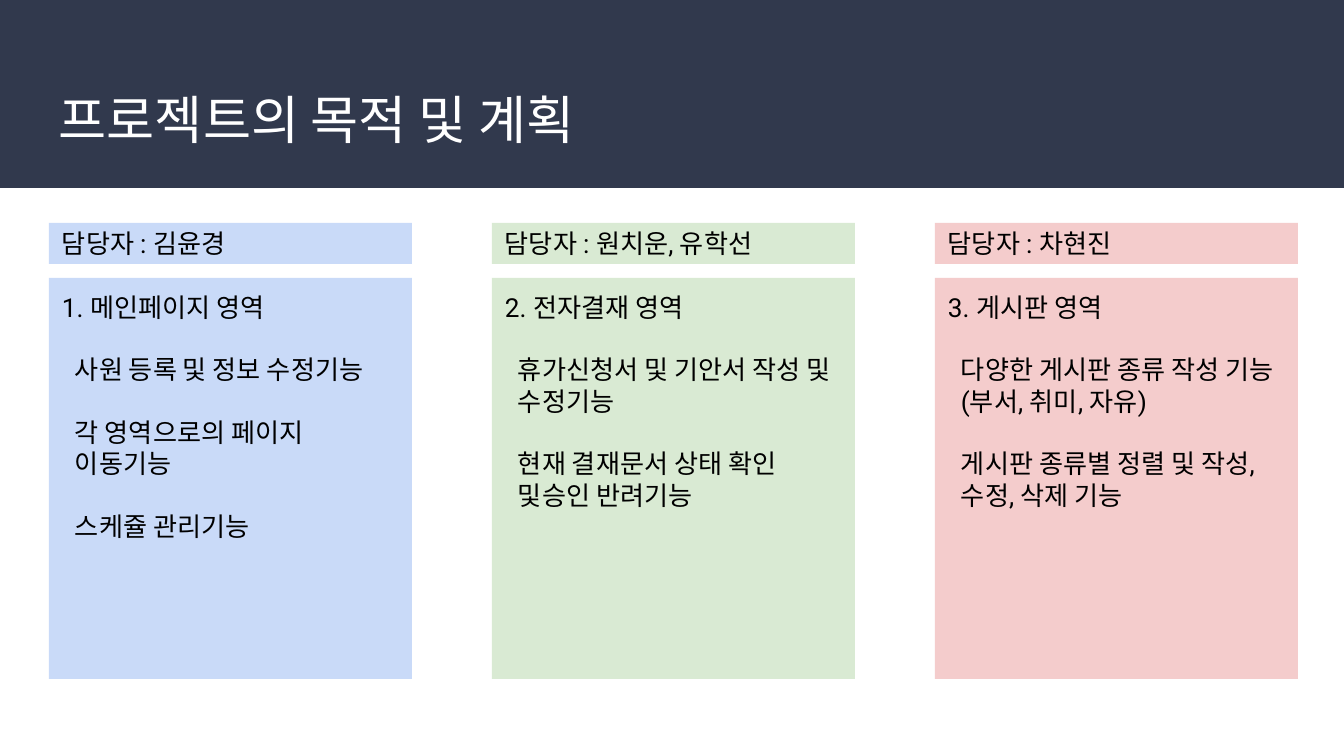
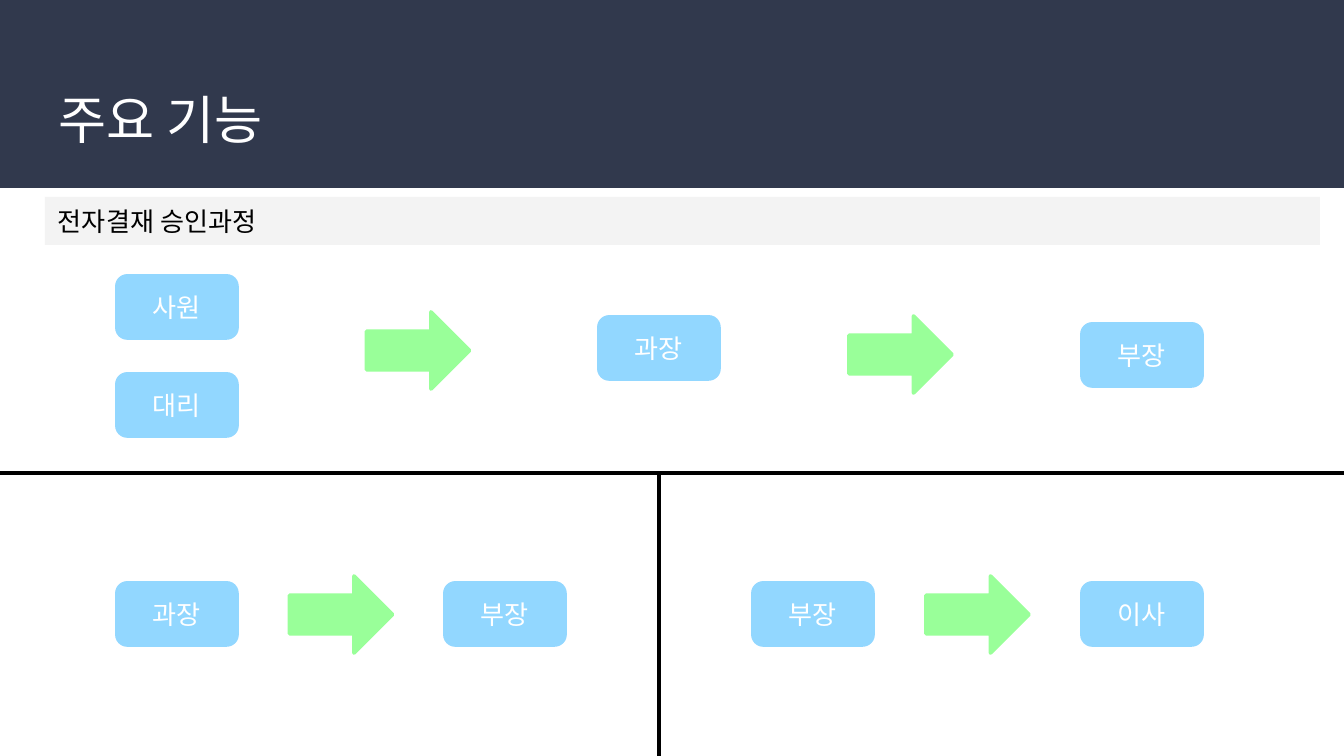
from lxml import etree
from pptx import Presentation
from pptx import util as u
from pptx.dml.color import RGBColor
from pptx.enum import shapes, text
from pptx.oxml.ns import qn

NAVY = RGBColor(0x31, 0x39, 0x4D)
WHITE = RGBColor(0xFF, 0xFF, 0xFF)
BLACK = RGBColor(0, 0, 0)
BLUE = RGBColor(0xC9, 0xDA, 0xF8)
GREEN = RGBColor(0xD9, 0xEA, 0xD3)
PINK = RGBColor(0xF4, 0xCC, 0xCC)
GREY = RGBColor(0xF3, 0xF3, 0xF3)
SKY = RGBColor(0x92, 0xD7, 0xFF)
LIME = RGBColor(0x99, 0xFF, 0x99)

WIDTH, HEIGHT = 1344, 756
SCALE = 914400 / 134.4
INSET = 13
LINE_GAP = 16.8
STEP_W, STEP_H = 120, 62
ARROW_W, ARROW_H = 103, 77


def px(length):
    """Turn pixels into EMU."""
    return u.Emu(round(length * SCALE))


class Builder:
    """Holds the deck, its style and the current page."""

    def __init__(self):
        """Start a deck of the right size."""
        self.deck = Presentation()
        self.deck.slide_width, self.deck.slide_height = px(WIDTH), px(HEIGHT)
        self.page = None

    def new_page(self, title):
        """Add a page with the title band."""
        self.page = self.deck.slides.add_slide(self.deck.slide_layouts[6])
        self.shape(shapes.MSO_SHAPE.RECTANGLE, 0, 0, WIDTH, 188, NAVY)
        box = self.page.shapes.add_textbox(px(46), px(74), px(1252), px(91))
        self.set_text(box, [title], "Noto Serif", 28, WHITE)

    def shape(self, kind, left, top, width, height, fill, outlined=False):
        """Add a flat preset shape, outlined in its own colour if asked."""
        shape = self.page.shapes.add_shape(kind, px(left), px(top), px(width), px(height))
        shape.shadow.inherit = False
        shape.fill.solid()
        shape.fill.fore_color.rgb = fill
        if outlined:
            shape.line.color.rgb = fill
            shape.line.width = u.Pt(2)
        else:
            shape.line.fill.background()
        return shape

    def set_text(self, box, lines, font="Roboto", size=14, color=BLACK,
                 anchor=text.MSO_ANCHOR.TOP, align=text.PP_ALIGN.LEFT, inset=INSET):
        """Fill in paragraphs; those after the first are indented and spaced."""
        frame = box.text_frame
        frame.word_wrap = True
        frame.vertical_anchor = anchor
        frame.margin_left = frame.margin_right = px(INSET)
        frame.margin_top = frame.margin_bottom = px(inset)
        for index, line in enumerate(lines):
            para = frame.add_paragraph() if index else frame.paragraphs[0]
            para.text = line
            para.alignment = align
            para.font.name, para.font.size = font, u.Pt(size)
            para.font.color.rgb = color
            if index:
                para.space_before = u.Pt(LINE_GAP)
                para._p.get_or_add_pPr().set("marL", str(px(INSET)))

    def bar(self, left, top, width, height, fill, label):
        """Add a one-line label on a coloured bar."""
        box = self.shape(shapes.MSO_SHAPE.RECTANGLE, left, top, width, height, fill)
        self.set_text(box, [label], anchor=text.MSO_ANCHOR.MIDDLE)

    def panel(self, left, top, width, height, fill, lines):
        """Add a coloured panel with a heading and its points."""
        box = self.shape(shapes.MSO_SHAPE.RECTANGLE, left, top, width, height, fill)
        self.set_text(box, lines)

    def step(self, left, top, label):
        """Add a rounded box for one approver."""
        box = self.shape(shapes.MSO_SHAPE.ROUNDED_RECTANGLE, left, top,
                         STEP_W, STEP_H, SKY, outlined=True)
        self.set_text(box, [label], "Arial", 14, WHITE, text.MSO_ANCHOR.MIDDLE,
                      text.PP_ALIGN.CENTER, inset=7)

    def arrow(self, before, after, top):
        """Add an arrow midway between the steps at two left edges."""
        left = (before + STEP_W + after - ARROW_W) / 2
        self.shape(shapes.MSO_SHAPE.RIGHT_ARROW, left, top,
                   ARROW_W, ARROW_H, LIME, outlined=True)

    def divider(self, x1, y1, x2, y2):
        """Add a straight black line."""
        line = self.page.shapes.add_connector(
            shapes.MSO_CONNECTOR.STRAIGHT, px(x1), px(y1), px(x2), px(y2))
        line.line.color.rgb = BLACK
        line.line.width = u.Pt(2)
        etree.SubElement(line._element.spPr, qn("a:effectLst"))


def plan_page(deck):
    """Build the page of areas and the people in charge."""
    deck.new_page("프로젝트의 목적 및 계획")
    areas = [
        (BLUE, "김윤경", ["1. 메인페이지 영역", "사원 등록 및 정보 수정기능",
                       "각 영역으로의 페이지 이동기능", "스케쥴 관리기능"]),
        (GREEN, "원치운, 유학선", ["2. 전자결재 영역", "휴가신청서 및 기안서 작성 및 수정기능",
                             "현재 결재문서 상태 확인 및승인 반려기능"]),
        (PINK, "차현진", ["3. 게시판 영역", "다양한 게시판 종류 작성 기능(부서, 취미, 자유)",
                       "게시판 종류별 정렬 및 작성, 수정, 삭제 기능"]),
    ]
    for column, (fill, owner, lines) in enumerate(areas):
        left = 49 + 443 * column
        deck.panel(left, 278, 363, 401, fill, lines)
        deck.bar(left, 223, 363, 41, fill, f"담당자 : {owner}")


def approval_page(deck):
    """Build the page of approval routes."""
    deck.new_page("주요 기능")
    deck.bar(45, 197, 1275, 48, GREY, "전자결재 승인과정")
    deck.divider(0, 473, WIDTH, 473)
    deck.divider(659, HEIGHT, 659, 473)

    first, middle, last = 117, 599, 1082
    left_end, right_start = 445, 753
    upper = [(first, 276, "사원"), (first, 374, "대리"),
             (middle, 317, "과장"), (last, 324, "부장")]
    lower = [(first, "과장"), (left_end, "부장"), (right_start, "부장"), (last, "이사")]
    for left, top, label in upper + [(left, 583, label) for left, label in lower]:
        deck.step(left, top, label)

    for before, after, top in [(first, middle, 312), (middle, last, 316),
                               (first, left_end, 576), (right_start, last, 576)]:
        deck.arrow(before, after, top)


builder = Builder()
plan_page(builder)
approval_page(builder)
builder.deck.save("out.pptx")
